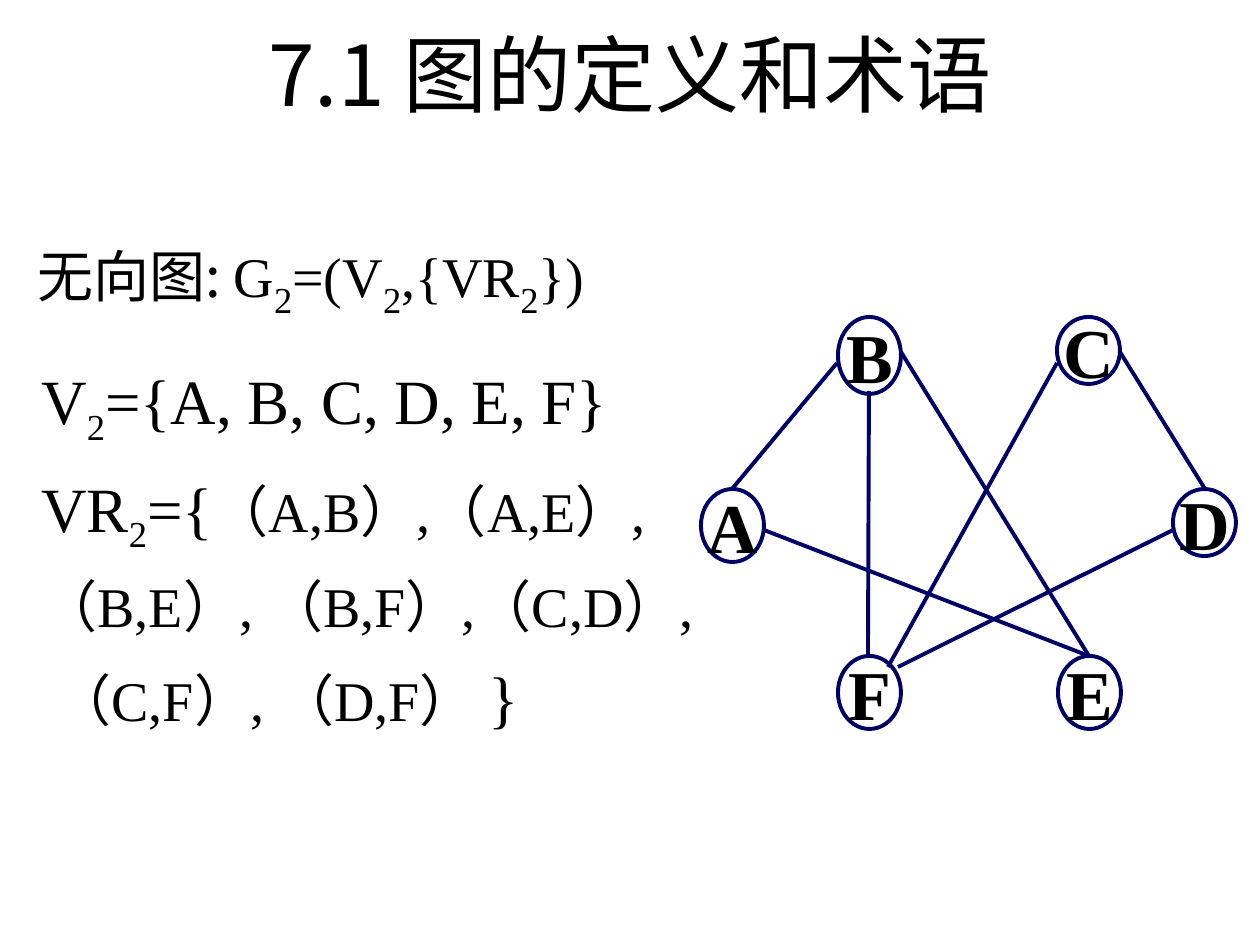
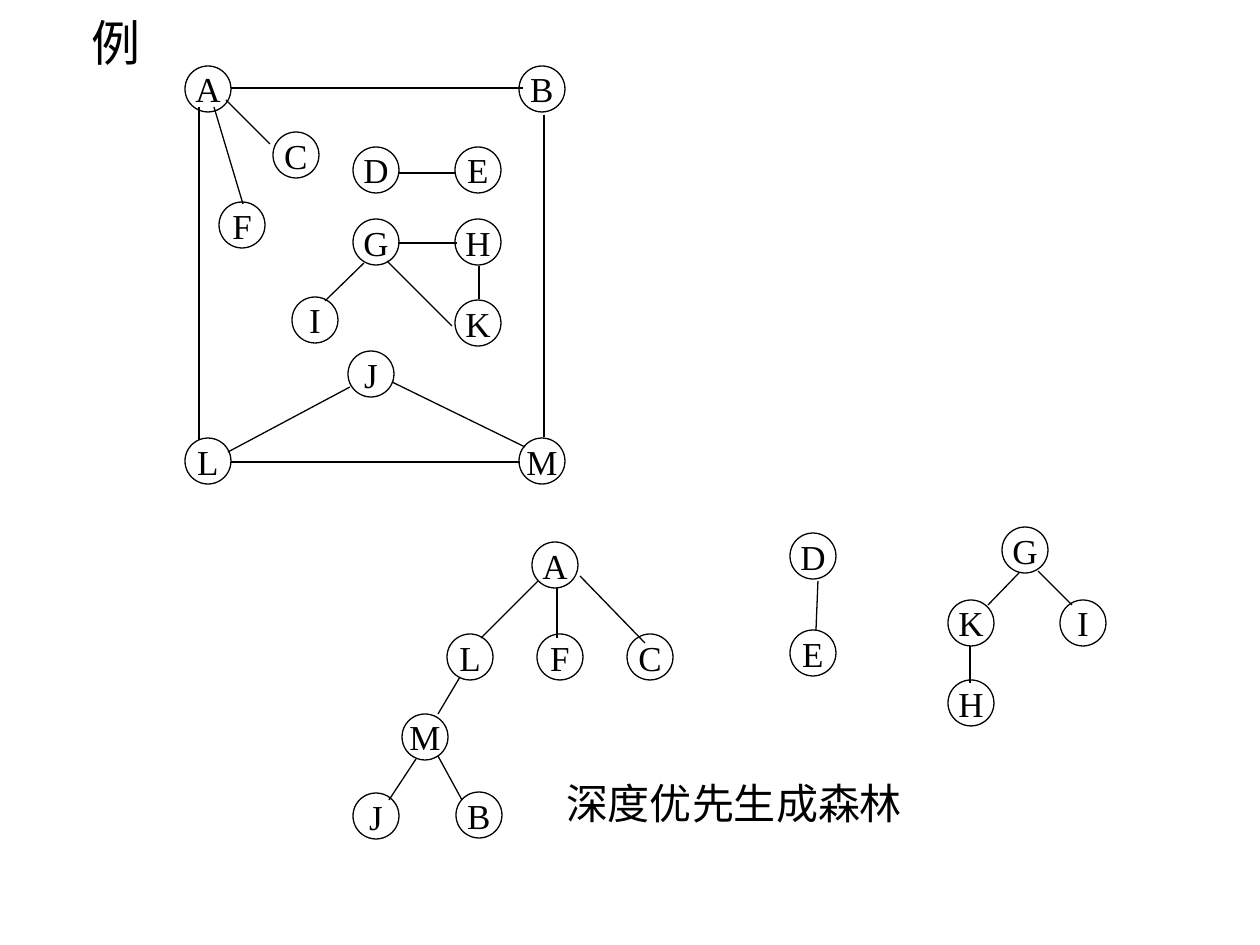
"""Builds two slides on graphs: an undirected graph and a depth-first spanning forest."""
from lxml.etree import SubElement
from pptx import Presentation
from pptx.dml.color import RGBColor
from pptx.enum.shapes import MSO_CONNECTOR as Connector, MSO_SHAPE as Preset
from pptx.enum.text import MSO_ANCHOR as Anchor, MSO_AUTO_SIZE as AutoSize, PP_ALIGN as Align
from pptx.oxml.ns import qn
from pptx.util import Emu, Pt

COLORS = {"text": "000000", "graph": "000066", "line": "000000"}
SANS, SERIF = "Noto Sans CJK SC", "Times New Roman"
SLIDE_SIZE = (1260, 945)
PX_PER_INCH = 126

TITLE = "7.1 图的定义和术语"
TITLE_BOX = (63, 13, 1134, 120)

DEFINITION_BOX = (25, 211, 606, 116)
DEFINITION = [[
    ("无向图: ", 32, SANS), ("G", 32), ("2", 36, SERIF, True), ("=(V", 32), ("2", 36, SERIF, True),
    (",{VR", 32), ("2", 36, SERIF, True), ("})", 32),
]]

SETS_BOX = (29, 334, 670, 575)
SETS = [
    [("V", 36), ("2", 36, SERIF, True), ("={A, B, C, D, E, F}", 36)],
    [("VR", 36), ("2", 36, SERIF, True), ("={", 36), ("（A,B）,（A,E）,", 32)],
    [("（B,E）, （B,F）,（C,D）, （C,F）, （D,F） ", 32), ("}", 36)],
]

GRAPH_NODE_WIDTH = 63
GRAPH_NODES = [
    ("B", 838, 317, 77), ("C", 1057, 317, 67), ("A", 701, 489, 73),
    ("F", 838, 656, 73), ("E", 1058, 656, 73), ("D", 1173, 489, 67),
]
GRAPH_EDGES = [
    (837, 363, 732, 489), (901, 352, 1089, 656), (764, 530, 1089, 656),
    (1057, 363, 888, 667), (1120, 352, 1205, 489), (1173, 530, 898, 667),
    (869, 391, 868, 656),
]

NODE_SIZE = 46
EXAMPLE = {
    "caption": ("例", 28, (79, 6, 74, 72)),
    "nodes": [
        ("A", 208, 89), ("B", 542, 89), ("L", 208, 461), ("M", 542, 461), ("C", 296, 155),
        ("F", 242, 225), ("D", 376, 170), ("E", 478, 170), ("G", 376, 242), ("H", 478, 242),
        ("K", 478, 323), ("I", 315, 320), ("J", 371, 374),
    ],
    "edges": [
        (398, 173, 455, 173), (398, 243, 457, 243), (479, 266, 479, 299), (387, 261, 452, 326),
        (364, 263, 325, 301), (226, 100, 270, 144), (214, 107, 243, 204), (231, 88, 523, 88),
        (199, 107, 199, 440), (231, 462, 520, 462), (544, 115, 544, 437), (228, 452, 350, 387),
        (392, 382, 525, 447),
    ],
}
FOREST = {
    "caption": ("深度优先生成森林", 24, (554, 771, 360, 63)),
    "nodes": [
        ("A", 555, 565), ("B", 479, 815), ("L", 470, 657), ("M", 425, 737), ("F", 560, 657),
        ("C", 650, 657), ("J", 376, 816), ("D", 813, 556), ("E", 813, 653), ("G", 1025, 550),
        ("H", 971, 703), ("K", 971, 623), ("I", 1083, 623),
    ],
    "edges": [
        (557, 588, 557, 638), (538, 581, 481, 638), (580, 576, 645, 643), (460, 677, 438, 714),
        (416, 759, 389, 800), (438, 756, 462, 800), (818, 581, 816, 630), (1019, 573, 988, 605),
        (970, 646, 970, 683), (1038, 571, 1072, 605),
    ],
}


def px(*lengths):
    return [Emu(round(length * 914400 / PX_PER_INCH)) for length in lengths]


def add_run(paragraph, text, size, font=SERIF, subscript=False, bold=False):
    run = paragraph.add_run()
    run.text = text
    run.font.name, run.font.size, run.font.bold = font, Pt(size), bold
    run.font.color.rgb = RGBColor.from_string(COLORS["text"])
    properties = run.font._element
    SubElement(properties, qn("a:ea")).set("typeface", SANS)
    if subscript:
        properties.set("baseline", "-25000")


def add_text(slide, box, paragraphs, spacing):
    frame = slide.shapes.add_textbox(*px(*box)).text_frame
    frame.word_wrap = True
    for index, runs in enumerate(paragraphs):
        paragraph = frame.add_paragraph() if index else frame.paragraphs[0]
        paragraph.line_spacing = spacing
        for run in runs:
            add_run(paragraph, *run)


def add_label(shape, text, size, bold=False):
    frame = shape.text_frame
    frame.word_wrap, frame.auto_size = False, AutoSize.NONE
    frame.vertical_anchor = Anchor.MIDDLE
    frame.margin_left = frame.margin_right = frame.margin_top = frame.margin_bottom = 0
    frame.paragraphs[0].alignment = Align.CENTER
    add_run(frame.paragraphs[0], text, size, bold=bold)


def style_line(shape, color, width):
    shape.line.color.rgb = RGBColor.from_string(COLORS[color])
    shape.line.width = Pt(width)


def add_node(slide, box, color, width):
    node = slide.shapes.add_shape(Preset.OVAL, *px(*box))
    node.shadow.inherit = False
    node.fill.background()
    style_line(node, color, width)
    return node


def add_edges(slide, edges, color, width):
    for edge in edges:
        connector = slide.shapes.add_connector(Connector.STRAIGHT, *px(*edge))
        style_line(connector, color, width)
        SubElement(connector._element.spPr, qn("a:effectLst"))


def add_definition_slide(presentation):
    slide = presentation.slides.add_slide(presentation.slide_layouts[5])
    title = slide.shapes.title
    title.left, title.top, title.width, title.height = px(*TITLE_BOX)
    title.text_frame.auto_size = AutoSize.NONE
    title.text_frame.vertical_anchor = Anchor.MIDDLE
    title.text_frame.paragraphs[0].alignment = Align.CENTER
    add_run(title.text_frame.paragraphs[0], TITLE, 48, SANS)
    add_text(slide, DEFINITION_BOX, DEFINITION, 1.2)
    for letter, left, top, height in GRAPH_NODES:
        node = add_node(slide, (left, top, GRAPH_NODE_WIDTH, height), "graph", 2.25)
        add_label(node, letter, 40, bold=True)
    add_edges(slide, GRAPH_EDGES, "graph", 2.25)
    add_text(slide, SETS_BOX, SETS, 1.25)


def add_forest_slide(presentation):
    slide = presentation.slides.add_slide(presentation.slide_layouts[6])
    for part in (EXAMPLE, FOREST):
        text, size, box = part["caption"]
        add_label(slide.shapes.add_textbox(*px(*box)), text, size)
        for letter, x, y in part["nodes"]:
            box = (x - NODE_SIZE // 2, y - NODE_SIZE // 2, NODE_SIZE, NODE_SIZE)
            add_label(add_node(slide, box, "line", 0.75), letter, 20)
        add_edges(slide, part["edges"], "line", 0.75)


def main():
    presentation = Presentation()
    presentation.slide_width, presentation.slide_height = px(*SLIDE_SIZE)
    add_definition_slide(presentation)
    add_forest_slide(presentation)
    presentation.save("out.pptx")


if __name__ == "__main__":
    main()
